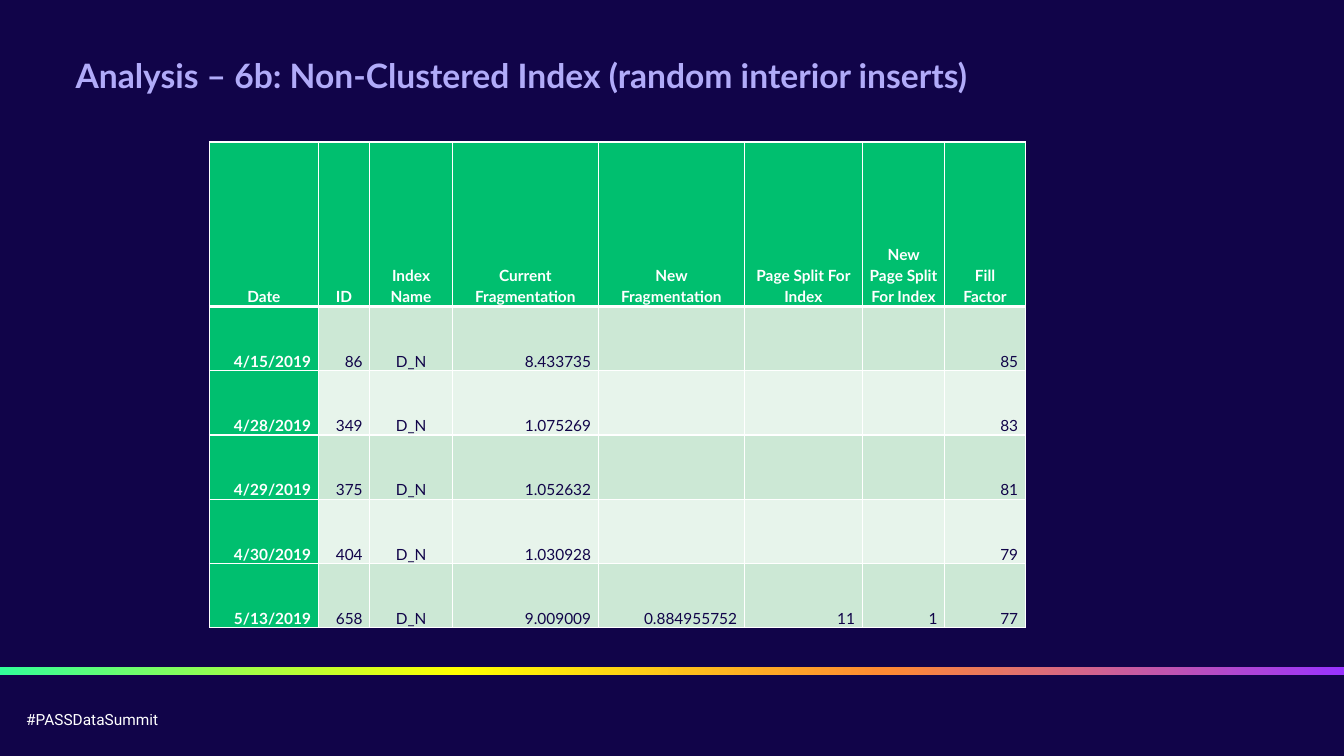
import pptx
import pptx.util
import pptx.dml.color
import pptx.enum.shapes
import pptx.enum.text
import pptx.oxml
import pptx.oxml.ns
from lxml import etree

Cm = pptx.util.Cm
Pt = pptx.util.Pt
ALIGN = pptx.enum.text.PP_ALIGN
ANCHOR = pptx.enum.text.MSO_ANCHOR

COLORS = {
    "background": "110449",
    "title": "B1ABF9",
    "white": "FFFFFF",
    "ink": "110449",
    "green": "00BF6F",
    "band_dark": "CCE8D5",
    "band_light": "E7F4EB",
}
RAINBOW = [(0, "33FF99"), (34, "FFFF00"), (66, "FF8A33"), (100, "9933FF")]

COLUMN_WIDTHS = [2.74, 1.3, 2.08, 3.68, 3.68, 2.97, 2.08, 2.03]
HEADER_HEIGHT = 4.14
ROW_HEIGHT = 1.62
CENTERED_COLUMN = 2
INDEX_ROWS = [
    ["Date", "ID", "Index Name", "Current Fragmentation", "New Fragmentation",
     "Page Split For Index", "New Page Split For Index", "Fill Factor"],
    ["4/15/2019", "86", "D_N", "8.433735", "", "", "", "85"],
    ["4/28/2019", "349", "D_N", "1.075269", "", "", "", "83"],
    ["4/29/2019", "375", "D_N", "1.052632", "", "", "", "81"],
    ["4/30/2019", "404", "D_N", "1.030928", "", "", "", "79"],
    ["5/13/2019", "658", "D_N", "9.009009", "0.884955752", "11", "1", "77"],
]


def rgb(name):
    return pptx.dml.color.RGBColor.from_string(COLORS[name])


def apply_format(target, values):
    for name, value in values.items():
        setattr(target, name, value)


def write_text(text_frame, text, color, font_format, paragraph_format):
    text_frame.text = text
    paragraph = text_frame.paragraphs[0]
    apply_format(paragraph, paragraph_format)
    apply_format(paragraph.font, font_format)
    paragraph.font.color.rgb = rgb(color)


def set_borders(cell, widths):
    properties = cell._tc.get_or_add_tcPr()
    for side, width in widths.items():
        line = etree.SubElement(properties, pptx.oxml.ns.qn(f"a:ln{side}"), w=str(Pt(width)))
        fill = etree.SubElement(line, pptx.oxml.ns.qn("a:solidFill"))
        etree.SubElement(fill, pptx.oxml.ns.qn("a:srgbClr"), val=COLORS["white"])


def add_title(slide, left, top, width, height):
    title = slide.shapes.title
    apply_format(title, {"left": Cm(left), "top": Cm(top), "width": Cm(width), "height": Cm(height)})
    apply_format(title.text_frame, {
        "word_wrap": True,
        "auto_size": pptx.enum.text.MSO_AUTO_SIZE.NONE,
        "vertical_anchor": ANCHOR.TOP,
    })
    write_text(title.text_frame, "Analysis – 6b: Non-Clustered Index (random interior inserts)", "title",
               {"name": "Lato", "size": Pt(24), "bold": True},
               {"alignment": ALIGN.LEFT, "line_spacing": 0.9})


def add_footer(slide, left, top, width, height):
    bar = slide.shapes.add_shape(pptx.enum.shapes.MSO_SHAPE.RECTANGLE,
                                 Cm(left), Cm(top), Cm(width), Cm(0.2))
    bar.shadow.inherit = False
    bar.line.fill.background()
    bar.fill.gradient()
    bar.fill.gradient_angle = 0
    stops = bar._element.spPr.find(".//" + pptx.oxml.ns.qn("a:gsLst"))
    for stop in list(stops):
        stops.remove(stop)
    for position, color in RAINBOW:
        stop = etree.SubElement(stops, pptx.oxml.ns.qn("a:gs"), pos=str(position * 1000))
        etree.SubElement(stop, pptx.oxml.ns.qn("a:srgbClr"), val=color)

    hashtag = slide.shapes.add_textbox(Cm(left + 0.41), Cm(top + 0.97), Cm(3.91), Cm(height - 1.49))
    hashtag.text_frame.word_wrap = False
    write_text(hashtag.text_frame, "#PASSDataSummit", "white",
               {"name": "Roboto", "size": Pt(11)}, {"alignment": ALIGN.LEFT})


def add_index_table(slide, left, top):
    height = HEADER_HEIGHT + ROW_HEIGHT * (len(INDEX_ROWS) - 1)
    table = slide.shapes.add_table(len(INDEX_ROWS), len(COLUMN_WIDTHS), Cm(left), Cm(top),
                                   Cm(sum(COLUMN_WIDTHS)), Cm(height)).table
    apply_format(table, {"first_row": False, "horz_banding": False})
    for column, width in zip(table.columns, COLUMN_WIDTHS):
        column.width = Cm(width)
    for row_number, values in enumerate(INDEX_ROWS):
        is_header = row_number == 0
        table.rows[row_number].height = Cm(HEADER_HEIGHT if is_header else ROW_HEIGHT)
        band = "band_dark" if row_number % 2 else "band_light"
        for column_number, text in enumerate(values):
            is_heading = is_header or column_number == 0
            is_centered = is_header or column_number == CENTERED_COLUMN
            cell = table.cell(row_number, column_number)
            set_borders(cell, {"L": 1, "R": 1, "T": 3 if row_number == 1 else 1,
                               "B": 3 if is_header else 1})
            cell.fill.solid()
            cell.fill.fore_color.rgb = rgb("green" if is_heading else band)
            apply_format(cell, {
                "margin_left": Cm(0.18), "margin_right": Cm(0.18),
                "margin_top": 0, "margin_bottom": 0,
                "vertical_anchor": ANCHOR.BOTTOM,
            })
            write_text(cell.text_frame, text, "white" if is_heading else "ink",
                       {"name": "Lato", "size": Pt(11), "bold": is_heading},
                       {"alignment": ALIGN.CENTER if is_centered else ALIGN.RIGHT,
                        "line_spacing": 1.15})


def main():
    presentation = pptx.Presentation()
    apply_format(presentation, {"slide_width": Cm(33.87), "slide_height": Cm(19.05)})
    slide = presentation.slides.add_slide(presentation.slide_layouts[5])
    slide.background.fill.solid()
    slide.background.fill.fore_color.rgb = rgb("background")
    add_footer(slide, 0, 16.81, 33.87, 2.24)
    add_title(slide, 1.65, 1.37, 28.35, 2.18)
    add_index_table(slide, 5.28, 3.58)
    presentation.save("out.pptx")


if __name__ == "__main__":
    main()
